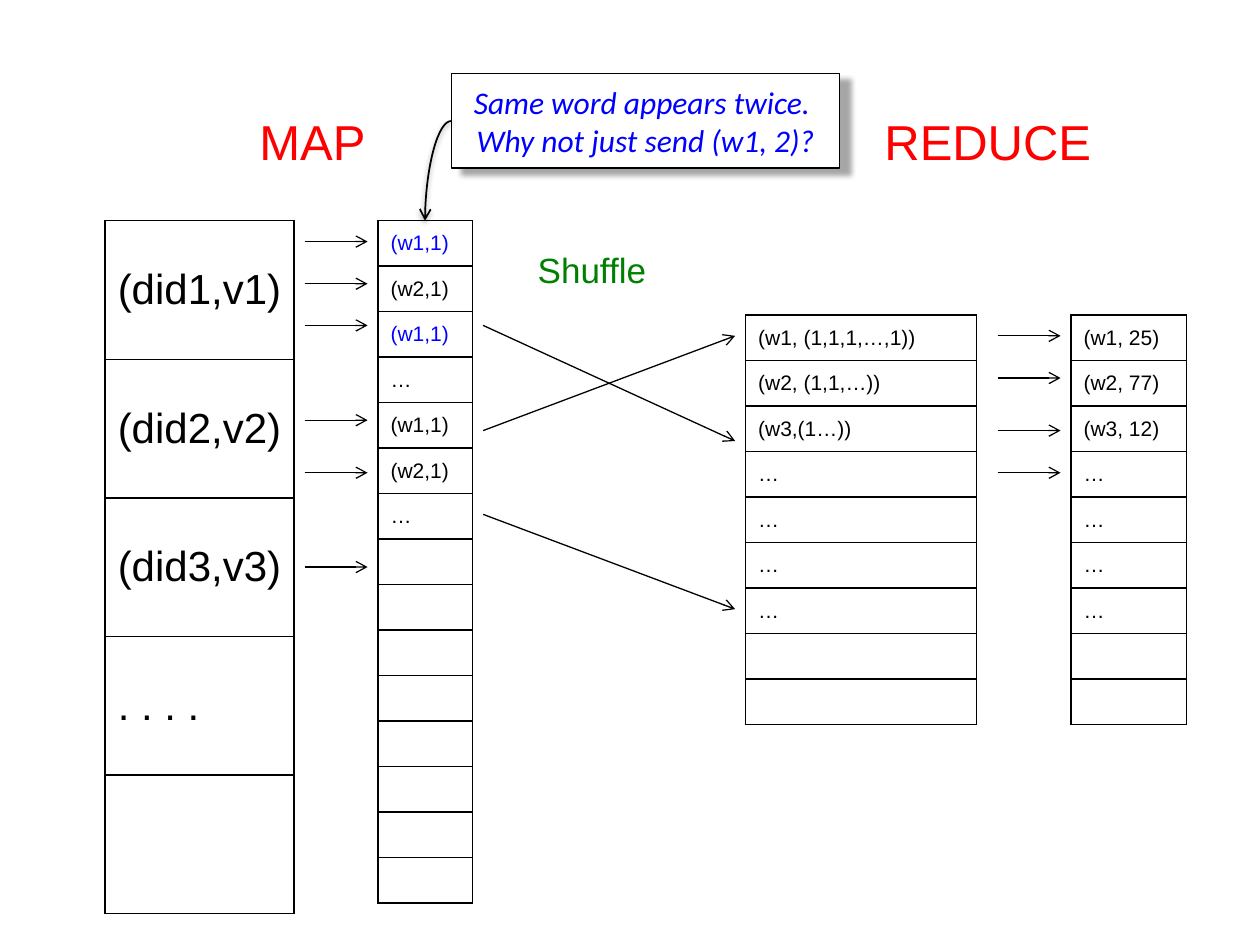
import pptx
import pptx.util
import pptx.dml.color
import pptx.enum.shapes
import pptx.enum.text
import pptx.oxml.ns
import lxml.etree

Cm, Pt = pptx.util.Cm, pptx.util.Pt
RGB = pptx.dml.color.RGBColor.from_string
qn = pptx.oxml.ns.qn
SubElement = lxml.etree.SubElement
CONN = pptx.enum.shapes.MSO_CONNECTOR
MIDDLE = pptx.enum.text.MSO_ANCHOR.MIDDLE
C = {"black": "000000", "white": "FFFFFF", "red": "FF0000", "blue": "0000FF", "green": "008000"}


def write(p, text, color, **fmt):
    r = p.add_run()
    r.text = text
    for name, value in fmt.items():
        setattr(r.font, name, value)
    r.font.color.rgb = RGB(C[color])


def arrow(s, kind, x1, y1, x2, y2, width):
    ln = s.shapes.add_connector(kind, Cm(x1), Cm(y1), Cm(x2), Cm(y2))
    ln.line.width = Pt(width)
    ln.line.color.rgb = RGB(C["black"])
    SubElement(ln.line._get_or_add_ln(), qn("a:tailEnd"), type="arrow")
    SubElement(ln._element.spPr, qn("a:effectLst"))
    return ln


prs = pptx.Presentation()
prs.slide_width, prs.slide_height = Cm(25.4), Cm(19.05)
s = prs.slides.add_slide(prs.slide_layouts[6])

# Headings: text, left, top, width, height, size, colour
for text, x, y, w, h, size, color in [
    ("MAP", 4.98, 2.13, 2.64, 1.45, 28, "red"),
    ("REDUCE", 17.58, 2.13, 4.72, 1.45, 28, "red"),
    ("Shuffle", 10.59, 4.88, 2.72, 1.12, 20, "green"),
]:
    tf = s.shapes.add_textbox(Cm(x), Cm(y), Cm(w), Cm(h)).text_frame
    tf.word_wrap = False
    tf.auto_size = pptx.enum.text.MSO_AUTO_SIZE.SHAPE_TO_FIT_TEXT
    write(tf.paragraphs[0], text, color, name="Arial", size=Pt(size))

# One-column tables: left, top, width, height, rows, size, texts, blue rows
for x, y, w, h, rows, size, texts, blue in [
    (7.62, 4.45, 1.91, 13.76, 15, 12,
     ["(w1,1)", "(w2,1)", "(w1,1)", "…", "(w1,1)", "(w2,1)", "…"], (0, 2)),
    (2.12, 4.45, 3.81, 13.97, 5, 24,
     ["(did1,v1)", "(did2,v2)", "(did3,v3)", ". . . ."], ()),
    (15.03, 6.35, 4.66, 8.26, 9, 12,
     ["(w1, (1,1,1,…,1))", "(w2, (1,1,…))", "(w3,(1…))"] + ["…"] * 4, ()),
    (21.59, 6.35, 2.33, 8.26, 9, 12,
     ["(w1, 25)", "(w2, 77)", "(w3, 12)"] + ["…"] * 4, ()),
]:
    tbl = s.shapes.add_table(rows, 1, Cm(x), Cm(y), Cm(w), Cm(h)).table
    tbl.first_row = tbl.horz_banding = False
    for i in range(rows):
        cell = tbl.cell(i, 0)
        cell.vertical_anchor = MIDDLE
        p = cell.text_frame.paragraphs[0]
        if i < len(texts):
            write(p, texts[i], "blue" if i in blue else "black", name="Arial", size=Pt(size))
        else:
            SubElement(p._p, qn("a:endParaRPr"), sz=str(size * 100))
        tcPr = cell._tc.get_or_add_tcPr()
        for side in ("a:lnL", "a:lnR", "a:lnT", "a:lnB"):
            ln = SubElement(tcPr, qn(side), w=str(Pt(1)))
            SubElement(SubElement(ln, qn("a:solidFill")), qn("a:srgbClr"), val=C["black"])
        cell.fill.background()

# Short arrows between neighbouring tables
for x, ys in [
    (6.14, [4.87, 5.72, 6.56, 8.47, 9.53, 11.43]),
    (20.11, [6.77, 7.62, 8.68, 9.53]),
]:
    for y in ys:
        arrow(s, CONN.STRAIGHT, x, y, x + 1.27, y, 0.75)

# Shuffle arrows
for y1, y2 in [(8.68, 6.77), (6.56, 8.89), (10.37, 12.28)]:
    arrow(s, CONN.STRAIGHT, 9.74, y1, 14.82, y2, 0.75)

# Question callout
sp = s.shapes.add_shape(pptx.enum.shapes.MSO_SHAPE.RECTANGLE, Cm(9.1), Cm(1.48), Cm(7.83), Cm(1.91))
sp.shadow.inherit = False
sp.fill.solid()
sp.fill.fore_color.rgb = RGB(C["white"])
sp.line.color.rgb = RGB(C["black"])
sp.line.width = Pt(0.75)
tf = sp.text_frame
tf.word_wrap = True
tf.vertical_anchor = MIDDLE
p = tf.paragraphs[0]
p.alignment = pptx.enum.text.PP_ALIGN.CENTER
write(p, "Same word appears twice.  Why not just send (w1, 2)?", "blue",
      name="Calibri", size=Pt(18), italic=True)

# Curved arrow from the callout to the first pair
curve = arrow(s, CONN.CURVE, 9.1, 2.44, 8.57, 4.45, 1)
curve._element.spPr.find(qn("a:prstGeom")).set("prst", "curvedConnector2")

# Shadows: shape, distance, direction, opacity
for shape, dist, angle, alpha in [(sp, 7, 32, 35), (curve, 1.6, 90, 38)]:
    effects = shape._element.spPr.find(qn("a:effectLst"))
    shdw = SubElement(effects, qn("a:outerShdw"), blurRad=str(Pt(3.1)), dist=str(Pt(dist)),
                      dir=str(angle * 60000), algn="tl", rotWithShape="0")
    clr = SubElement(shdw, qn("a:srgbClr"), val=C["black"])
    SubElement(clr, qn("a:alpha"), val=str(alpha * 1000))

prs.save("out.pptx")
